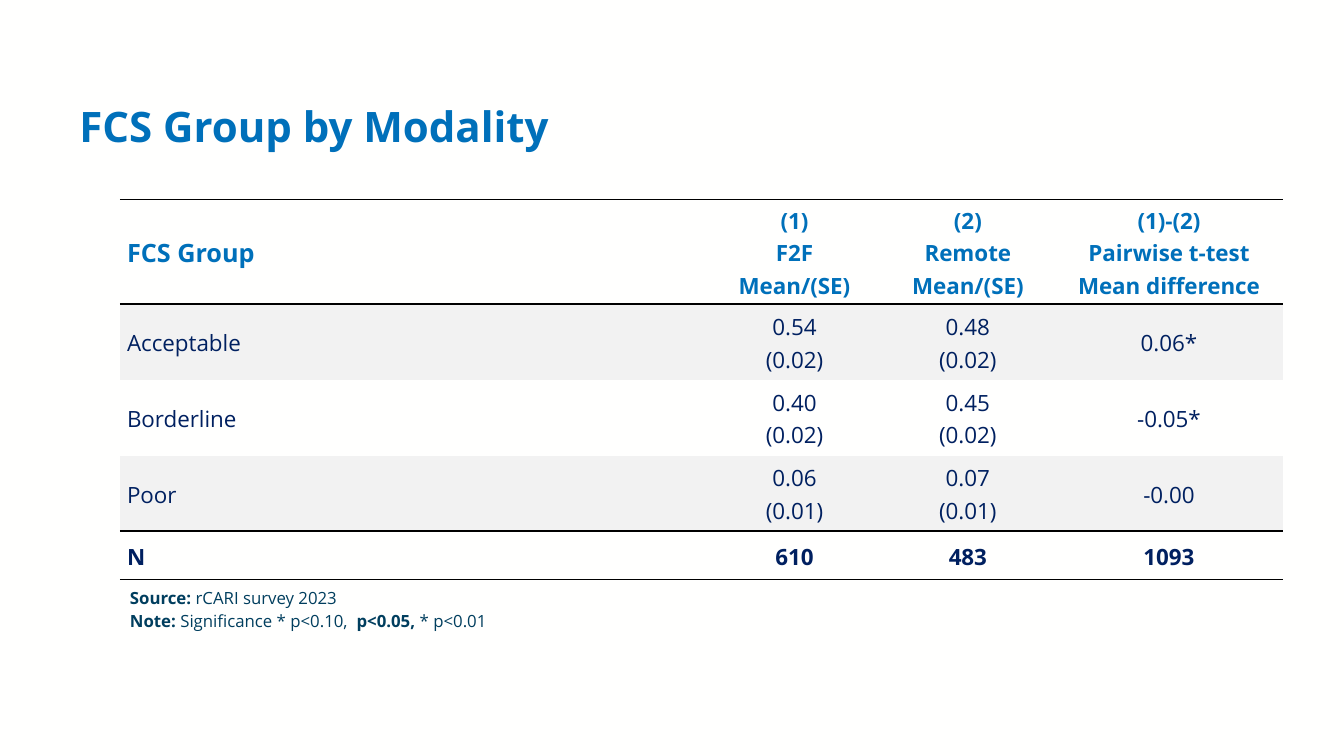
from dataclasses import dataclass

from lxml import etree
from pptx import Presentation
from pptx.dml.color import RGBColor
from pptx.enum.text import MSO_ANCHOR, PP_ALIGN
from pptx.oxml.ns import qn
from pptx.util import Inches, Pt

LEFT, CENTER, JUSTIFY = PP_ALIGN.LEFT, PP_ALIGN.CENTER, PP_ALIGN.JUSTIFY
TOP, MIDDLE = MSO_ANCHOR.TOP, MSO_ANCHOR.MIDDLE


@dataclass(frozen=True)
class Theme:
    font: str = "Open Sans"
    background: str = "FFFFFE"
    heading: str = "0070BA"
    body: str = "002060"
    note: str = "003E5E"
    band: str = "F2F2F2"
    rule: str = "000000"
    title_size: float = 30
    label_size: float = 18
    table_size: float = 16
    note_size: float = 12
    rule_width: float = 1.5


@dataclass(frozen=True)
class Row:
    height: float
    cells: tuple[str, ...]
    color: str
    bold: bool = False
    label_size: float = 16
    fill: str | None = None
    rules: str = ""  # "T" above the row, "B" below it


T = Theme()
COL_WIDTHS = (5.83, 1.72, 1.72, 2.27)
ROWS = (
    Row(1.04, ("FCS Group", "(1)\nF2F\nMean/(SE)", "(2)\nRemote\nMean/(SE)",
               "(1)-(2)\nPairwise t-test\nMean difference"),
        T.heading, bold=True, label_size=T.label_size, rules="TB"),
    Row(0.75, ("Acceptable", "0.54\n(0.02)", "0.48\n(0.02)", "0.06*"),
        T.body, fill=T.band, rules="T"),
    Row(0.75, ("Borderline", "0.40\n(0.02)", "0.45\n(0.02)", "-0.05*"), T.body),
    Row(0.75, ("Poor", "0.06\n(0.01)", "0.07\n(0.01)", "-0.00"),
        T.body, fill=T.band, rules="B"),
    Row(0.48, ("N", "610", "483", "1093"), T.body, bold=True, rules="TB"),
)


def write(tf, text: str, *, size: float, color: str, bold: bool = False,
          align=LEFT, spacing: float = 1.0) -> None:
    """Write one paragraph per line; ** switches bold on and off."""
    for i, line in enumerate(text.split("\n")):
        p = tf.paragraphs[0] if i == 0 else tf.add_paragraph()
        p.alignment = align
        p.line_spacing = spacing
        for j, part in enumerate(line.split("**")):
            if not part:
                continue
            r = p.add_run()
            r.text = part
            r.font.name = T.font
            r.font.size = Pt(size)
            r.font.bold = bold or j % 2 == 1
            r.font.color.rgb = RGBColor.from_string(color)


def add_text(s, x: float, y: float, w: float, h: float, text: str,
             anchor=TOP, **fmt) -> None:
    tf = s.shapes.add_textbox(Inches(x), Inches(y), Inches(w), Inches(h)).text_frame
    tf.word_wrap = True
    tf.vertical_anchor = anchor
    write(tf, text, **fmt)


def set_borders(cell, rules: str) -> None:
    """Rule the named sides and clear the others."""
    tc_pr = cell._tc.get_or_add_tcPr()
    for i, side in enumerate("LRTB"):
        ln = etree.Element(qn(f"a:ln{side}"))
        if side in rules:
            ln.set("w", str(Pt(T.rule_width)))
            fill = etree.SubElement(ln, qn("a:solidFill"))
            etree.SubElement(fill, qn("a:srgbClr"), val=T.rule)
        else:
            etree.SubElement(ln, qn("a:noFill"))
        tc_pr.insert(i, ln)


def add_results_table(s, x: float, y: float) -> None:
    height = sum(row.height for row in ROWS)
    table = s.shapes.add_table(len(ROWS), len(COL_WIDTHS), Inches(x), Inches(y),
                               Inches(sum(COL_WIDTHS)), Inches(height)).table
    table.first_row = table.horz_banding = False
    for column, width in zip(table.columns, COL_WIDTHS):
        column.width = Inches(width)
    for r, row in enumerate(ROWS):
        table.rows[r].height = Inches(row.height)
        for c, text in enumerate(row.cells):
            cell = table.cell(r, c)
            cell.vertical_anchor = MIDDLE
            cell.margin_left = cell.margin_right = Inches(0.07)
            cell.margin_top = cell.margin_bottom = 0
            if row.fill:
                cell.fill.solid()
                cell.fill.fore_color.rgb = RGBColor.from_string(row.fill)
            else:
                cell.fill.background()
            set_borders(cell, row.rules)
            write(cell.text_frame, text, color=row.color, bold=row.bold,
                  size=T.table_size if c else row.label_size,
                  align=CENTER if c else LEFT, spacing=1.07)


def main() -> None:
    prs = Presentation()
    prs.slide_width, prs.slide_height = Inches(13.33), Inches(7.5)
    s = prs.slides.add_slide(prs.slide_layouts[6])
    s.background.fill.solid()
    s.background.fill.fore_color.rgb = RGBColor.from_string(T.background)

    # Results table
    add_results_table(s, 1.19, 1.98)

    # Title
    add_text(s, 0.69, 0.58, 12.04, 1.4, "FCS Group by Modality", anchor=MIDDLE,
             size=T.title_size, color=T.heading, bold=True, spacing=0.9)

    # Source and significance note
    add_text(s, 1.19, 5.75, 6.67, 0.55,
             "**Source: **rCARI survey 2023\n"
             "**Note:** Significance * p<0.10, *\u200b* p<0.05, *\u200b*\u200b* p<0.01"
             .replace("\u200b", ""),
             size=T.note_size, color=T.note, align=JUSTIFY, spacing=1.15)

    prs.save("out.pptx")


if __name__ == "__main__":
    main()
